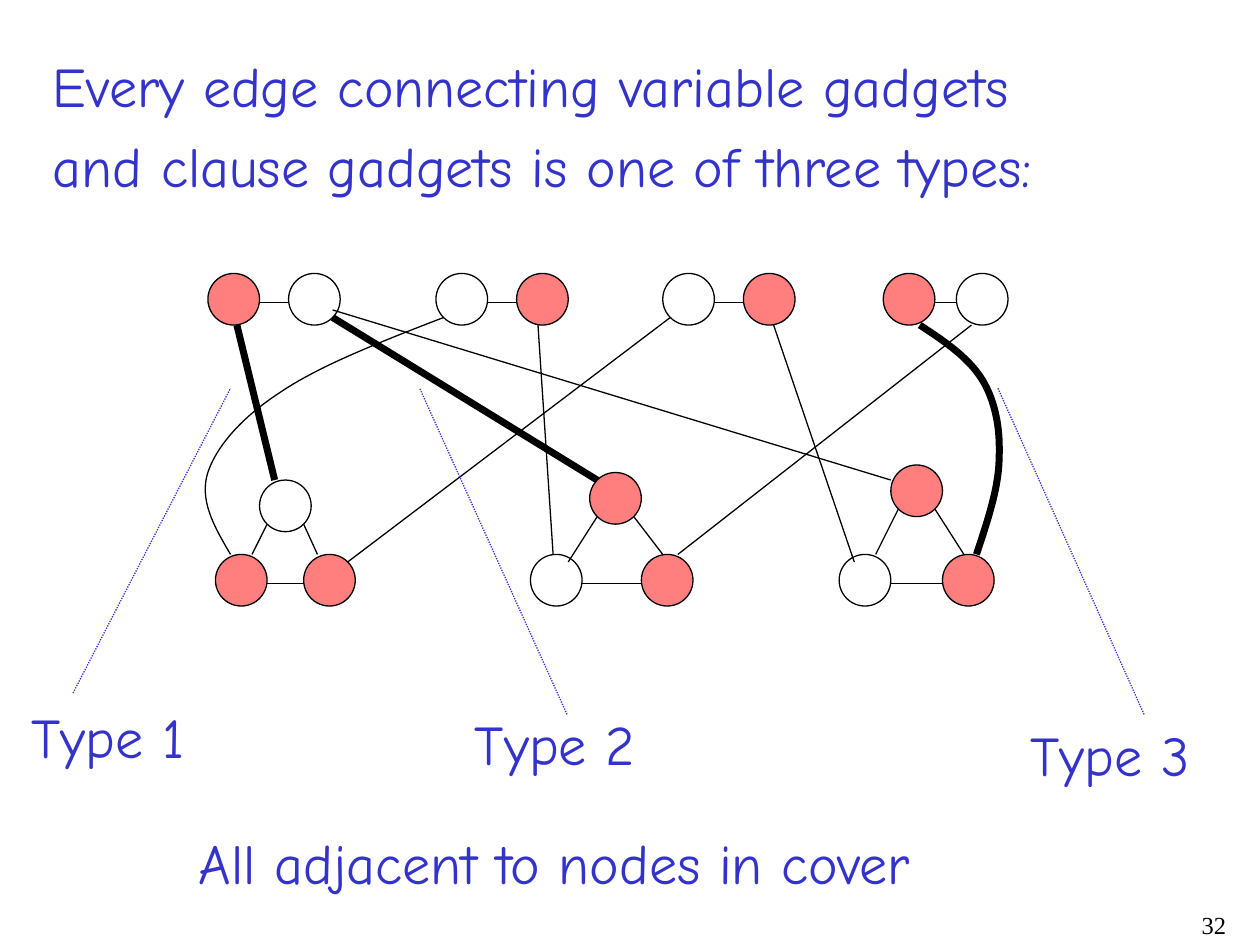
"""Build the slide on edges between variable gadgets and clause gadgets."""
from lxml import etree
from pptx import Presentation
from pptx.dml.color import RGBColor
from pptx.enum.dml import MSO_LINE
from pptx.enum.shapes import MSO_CONNECTOR, MSO_SHAPE
from pptx.enum.text import MSO_ANCHOR, MSO_AUTO_SIZE, PP_ALIGN
from pptx.oxml.ns import qn
from pptx.util import Cm, Pt

STRAIGHT = MSO_CONNECTOR.STRAIGHT
OVAL = MSO_SHAPE.OVAL
DOTTED = MSO_LINE.ROUND_DOT
TOP = MSO_ANCHOR.TOP
NO_FIT = MSO_AUTO_SIZE.NONE
LEFT, RIGHT = PP_ALIGN.LEFT, PP_ALIGN.RIGHT

COLORS = {"text": "3333CC", "cover": "FF0000", "edge": "000000"}
FONT, NUMBER_FONT = "Comic Neue", "Times New Roman"
THIN, THICK = 0.75, 4
NODE, VARIABLE_TOP, CLAUSE_TOP = 0.41, 2.17, 4.4
EDGE_DROP = 0.23

TITLE = ["Every edge connecting variable gadgets",
         "and clause gadgets is one of three types:"]
TITLE_BOX = (0.32, 0.36, 8.84, 1.27)
LABELS = [
    ("Type 1", (0.15, 5.53, 1.55, 0.63)),
    ("Type 2", (3.67, 5.58, 1.62, 0.63)),
    ("Type 3", (8.08, 5.67, 1.62, 0.63)),
    ("All adjacent to nodes in cover", (1.48, 6.53, 6.37, 0.63)),
]
NUMBER, NUMBER_BOX = "32", (7.75, 7.17, 2.08, 0.33)

# (left x, right x, index of the node in the cover)
VARIABLES = [(1.65, 2.29, 0), (3.46, 4.1, 1), (5.26, 5.9, 1), (7.01, 7.59, 0)]
CLAUSES = [
    {"nodes": [(2.06, 3.81), (1.71, CLAUSE_TOP), (2.41, CLAUSE_TOP)],
     "outside": 0, "feet": [(2, 4.4), (2.52, 4.4)]},
    {"nodes": [(4.68, 3.75), (4.21, CLAUSE_TOP), (5.09, CLAUSE_TOP)],
     "outside": 1, "feet": [(4.51, 4.46), (5.26, 4.4)]},
    {"nodes": [(7.07, 3.69), (6.66, CLAUSE_TOP), (7.48, CLAUSE_TOP)],
     "outside": 1, "feet": [(6.95, 4.4), (7.65, 4.4)]},
]
CROSS_EDGES = [
    ((1.88, 2.58), (2.18, 3.81), THICK),
    ((2.76, 4.46), (5.32, 2.52), THIN),
    ((2.64, 2.52), (4.74, 3.81), THICK),
    ((4.27, 2.58), (4.39, 4.4), THIN),
    ((5.38, 4.4), (7.71, 2.58), THIN),
    ((2.64, 2.46), (7.07, 3.81), THIN),
    ((6.14, 2.58), (6.78, 4.46), THIN),
]
CURVED_EDGES = [
    ([(1.83, 4.4), (1.7, 4.18), (1.58, 3.97), (1.65, 3.75), (1.72, 3.54),
      (1.92, 3.31), (2.23, 3.11), (2.54, 2.9), (3.03, 2.71), (3.52, 2.52)], THIN),
    ([(7.75, 4.4), (7.84, 4.13), (7.93, 3.86), (7.93, 3.63), (7.94, 3.4),
      (7.9, 3.19), (7.8, 3.02), (7.69, 2.84), (7.5, 2.71), (7.3, 2.58)], THICK),
]
POINTERS = [((0.58, 5.5), (1.83, 3.08)), ((4.5, 5.67), (3.33, 3.08)),
            ((9.08, 5.67), (7.92, 3.08))]


def cm(*inches):
    return [Cm(2.54 * v) for v in inches]


def rgb(name):
    return RGBColor.from_string(COLORS[name])


def set_line(s, width, color="edge"):
    s.line.color.rgb = rgb(color)
    s.line.width = Pt(width)


def add_node(shapes, x, y, covered):
    s = shapes.add_shape(OVAL, *cm(x, y, NODE, NODE))
    s.shadow.inherit = False
    set_line(s, THIN)
    if not covered:
        s.fill.background()
        return
    s.fill.solid()
    s.fill.fore_color.rgb = rgb("cover")
    color = s.fill._xPr.find(".//" + qn("a:srgbClr"))
    etree.SubElement(color, qn("a:alpha"), val="50000")


def add_edge(shapes, start, end, width=THIN, color="edge"):
    s = shapes.add_connector(STRAIGHT, *cm(*start, *end))
    set_line(s, width, color)
    etree.SubElement(s._element.spPr, qn("a:effectLst"))
    return s


def bezier(points, steps=20):
    """Return points along a chain of cubic curves."""
    result = [points[0]]
    for i in range(0, len(points) - 1, 3):
        for k in range(1, steps + 1):
            t = k / steps
            u = 1 - t
            weights = (u ** 3, 3 * u * u * t, 3 * u * t * t, t ** 3)
            result.append(tuple(sum(w * p[axis] for w, p in zip(weights, points[i:i + 4]))
                                for axis in (0, 1)))
    return result


def add_curve(shapes, points, width):
    first, *rest = [cm(*p) for p in bezier(points)]
    builder = shapes.build_freeform(*first)
    builder.add_line_segments(rest, close=False)
    s = builder.convert_to_shape()
    s.shadow.inherit = False
    s.fill.background()
    set_line(s, width)


def write(s, lines, box, size=32, font=FONT, color="text", align=LEFT):
    s.left, s.top, s.width, s.height = cm(*box)
    tf = s.text_frame
    tf.word_wrap = True
    tf.auto_size = NO_FIT
    tf.vertical_anchor = TOP
    for i, line in enumerate(lines):
        p = tf.add_paragraph() if i else tf.paragraphs[0]
        p.alignment = align
        p.space_before = Pt(7 if i else 0)
        r = p.add_run()
        r.text = line
        r.font.name, r.font.size = font, Pt(size)
        r.font.color.rgb = rgb(color)


def main():
    prs = Presentation()
    prs.slide_width, prs.slide_height = cm(10, 7.5)
    shapes = prs.slides.add_slide(prs.slide_layouts[5]).shapes
    write(shapes.title, TITLE, TITLE_BOX)

    for left, right, cover in VARIABLES:
        for i, x in enumerate((left, right)):
            add_node(shapes, x, VARIABLE_TOP, i == cover)
        y = VARIABLE_TOP + EDGE_DROP
        add_edge(shapes, (left + NODE, y), (right, y))

    for clause in CLAUSES:
        nodes = clause["nodes"]
        for i, (x, y) in enumerate(nodes):
            add_node(shapes, x, y, i != clause["outside"])
        (x, y), (left, _), (right, _) = nodes
        for dx, foot in zip((0.06, 0.35), clause["feet"]):
            add_edge(shapes, (x + dx, y + 0.35), foot)
        base = CLAUSE_TOP + EDGE_DROP
        add_edge(shapes, (left + NODE, base), (right, base))

    for start, end, width in CROSS_EDGES:
        add_edge(shapes, start, end, width)
    for points, width in CURVED_EDGES:
        add_curve(shapes, points, width)
    for start, end in POINTERS:
        add_edge(shapes, start, end, THIN, "text").line.dash_style = DOTTED

    for text, box in LABELS:
        write(shapes.add_textbox(*cm(*box)), [text], box)
    write(shapes.add_textbox(*cm(*NUMBER_BOX)), [NUMBER], NUMBER_BOX,
          14, NUMBER_FONT, "edge", RIGHT)
    prs.save("out.pptx")


if __name__ == "__main__":
    main()
